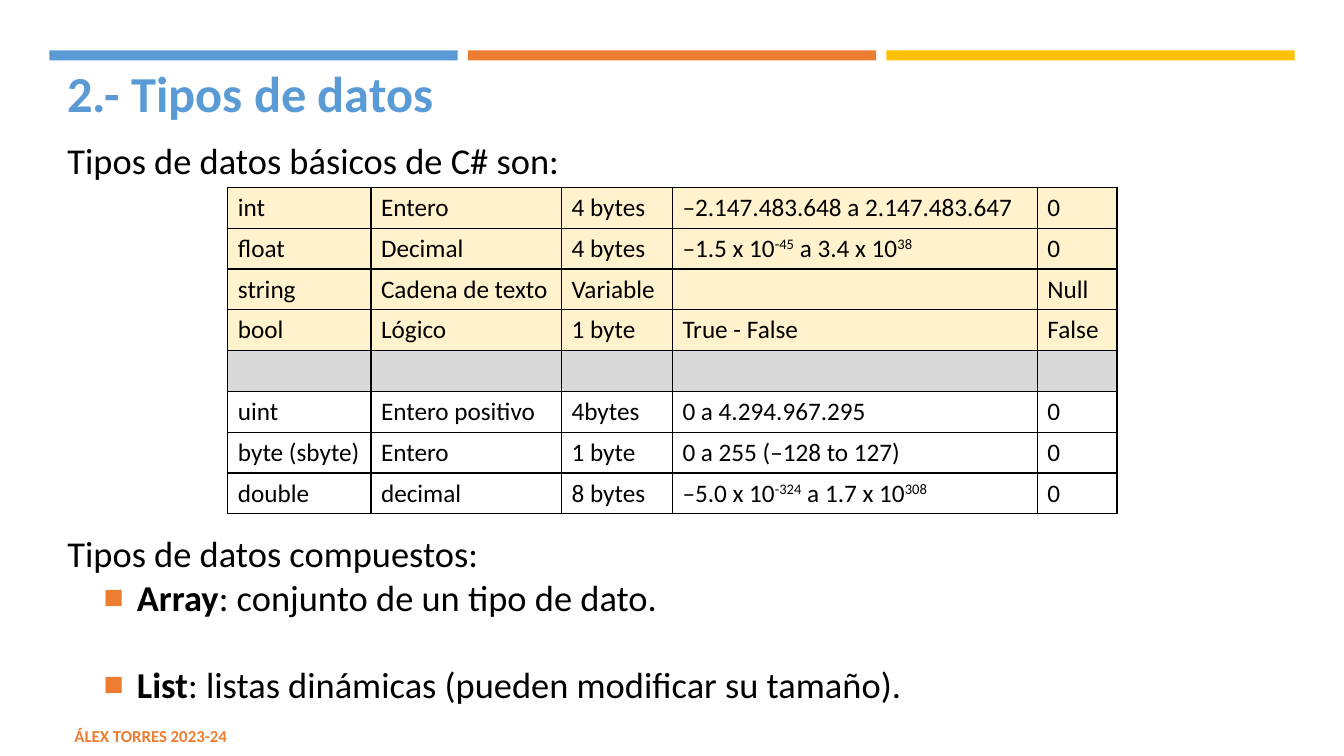
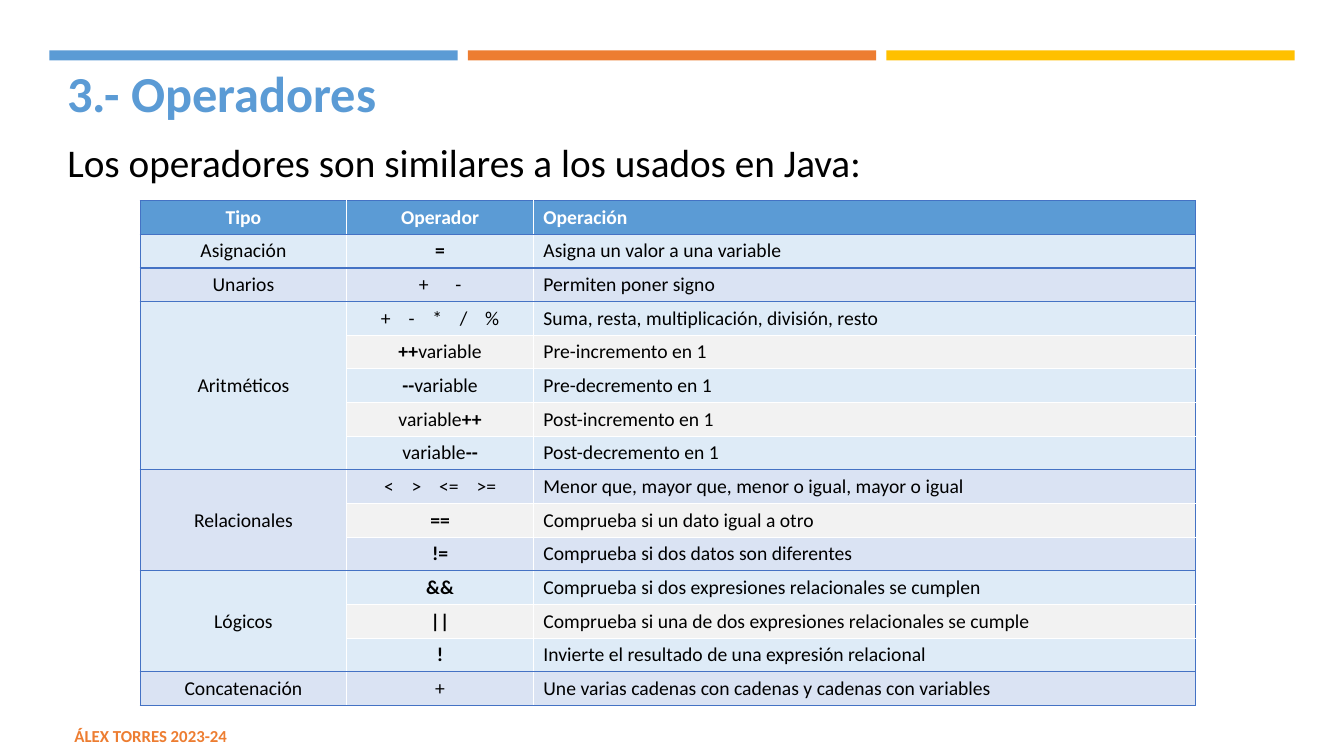
import pptx
import pptx.util
import pptx.dml.color
import pptx.enum.shapes
import pptx.enum.text
import pptx.oxml
import pptx.oxml.ns
from pptx.util import Inches

HUES = {
    "blue": "5B9BD5", "orange": "ED7D31", "gold": "FFC000", "edge": "4472C4",
    "black": "000000", "white": "FFFFFF", "cream": "FFF2CC", "gray": "D9D9D9",
    "pale": "F2F2F2", "sky": "DEEBF7", "mist": "DAE3F3",
}
FONT = "Calibri"
ALIGN = pptx.enum.text.PP_ALIGN
ANCHOR = pptx.enum.text.MSO_ANCHOR


def hue(name):
    return pptx.dml.color.RGBColor.from_string(HUES[name])


def node(tag, inner="", **attrs):
    """Build one element of the drawing namespace."""
    pairs = "".join(f' {key}="{val}"' for key, val in attrs.items())
    space = pptx.oxml.ns.nsdecls("a")
    return pptx.oxml.parse_xml(f"<a:{tag} {space}{pairs}>{inner}</a:{tag}>")


def write(para, text, size=18, color="black", bold=False, align=None, base=0, gap=0):
    """Add text to a paragraph: a string, or a list of (string, format) pairs."""
    if align is not None:
        para.alignment = align
    parts = [(text, {})] if isinstance(text, str) else text
    for words, extra in parts:
        form = {"size": size, "color": color, "bold": bold, "base": base, "gap": gap, **extra}
        run = para.add_run()
        run.text = words
        run.font.name = FONT
        run.font.size = pptx.util.Pt(form["size"])
        run.font.bold = form["bold"]
        run.font.color.rgb = hue(form["color"])
        props = run.font._element
        if form["base"]:
            props.set("baseline", str(form["base"] * 1000))
        if form["gap"]:
            props.set("spc", str(round(form["gap"] * 100)))


def spread(signs, gap):
    """Set signs apart with one widened space between neighbours."""
    parts = []
    for sign in signs.split():
        if parts:
            parts.append((" ", {"gap": gap}))
        parts.append((sign, {}))
    return parts


def power(*words):
    """Raise every second piece of text."""
    return [(word, {"base": 30 * (i % 2)}) for i, word in enumerate(words)]


class Deck:
    def __init__(self):
        self.show = pptx.Presentation()
        self.show.slide_width = Inches(13.33)
        self.show.slide_height = Inches(7.5)
        self.page = None

    def start(self, title):
        """Open a slide with its bands, footer and title."""
        self.page = self.show.slides.add_slide(self.show.slide_layouts[6])
        for i, color in enumerate(("blue", "orange", "gold")):
            self.band(0.49 + 4.15 * i, 0.5, 4.05, 0.1, color)
        foot = self.box(0.64, 7.1, 7.56, 0.4, pad=0.05, anchor=ANCHOR.MIDDLE)
        write(foot.paragraphs[0], "ÁLEX TORRES 2023-24", size=12, color="orange", bold=True)
        head = self.box(0.57, 0.52, 12.2, 0.73)
        write(head.paragraphs[0], title, size=36, color="blue", bold=True)

    def band(self, left, top, width, height, color):
        kind = pptx.enum.shapes.MSO_SHAPE.RECTANGLE
        shape = self.page.shapes.add_shape(
            kind, Inches(left), Inches(top), Inches(width), Inches(height))
        shape.shadow.inherit = False
        shape.fill.solid()
        shape.fill.fore_color.rgb = hue(color)
        shape.line.fill.background()

    def box(self, left, top, width, height, pad=0.1, anchor=ANCHOR.TOP):
        shape = self.page.shapes.add_textbox(
            Inches(left), Inches(top), Inches(width), Inches(height))
        frame = shape.text_frame
        frame.word_wrap = True
        frame.vertical_anchor = anchor
        frame.margin_left = frame.margin_right = Inches(0.1)
        frame.margin_top = frame.margin_bottom = Inches(pad)
        return frame

    def bullet(self, frame, text, size, before=0):
        para = frame.add_paragraph()
        props = para._p.get_or_add_pPr()
        props.set("marL", str(Inches(0.69)))
        props.set("indent", str(Inches(-0.33)))
        para.space_before = pptx.util.Pt(before)
        color = f'<a:srgbClr val="{HUES["orange"]}"/>'
        props.append(node("buClr", color))
        props.append(node("buSzPct", val=92000))
        props.append(node("buFont", typeface="Arial"))
        props.append(node("buChar", char="■"))
        write(para, text, size=size)

    def table(self, left, top, cols, count, height):
        frame = self.page.shapes.add_table(
            count, len(cols), Inches(left), Inches(top),
            Inches(sum(cols)), Inches(height * count))
        grid = frame.table
        grid.first_row = grid.horz_banding = False
        for col, width in zip(grid.columns, cols):
            col.width = Inches(width)
        for row in grid.rows:
            row.height = Inches(height)
        return grid

    def cell(self, cell, text, fill, lines, anchor=ANCHOR.TOP, **form):
        """Fill one cell; lines maps the sides L, R, T, B to colours."""
        cell.vertical_anchor = anchor
        props = cell._tc.get_or_add_tcPr()
        for side in "LRTB":
            if lines.get(side):
                inner = f'<a:solidFill><a:srgbClr val="{HUES[lines[side]]}"/></a:solidFill>'
                props.append(node("ln" + side, inner, w=12700))
        if fill:
            cell.fill.solid()
            cell.fill.fore_color.rgb = hue(fill)
        else:
            cell.fill.background()
        if text:
            write(cell.text_frame.paragraphs[0], text, **form)


# Basic types: name, kind, size, range, default
TYPES = [
    ("int", "Entero", "4 bytes", "–2.147.483.648 a 2.147.483.647", "0"),
    ("float", "Decimal", "4 bytes", power("–1.5 x 10", "-45", " a 3.4 x 10", "38"), "0"),
    ("string", "Cadena de texto", "Variable", "", "Null"),
    ("bool", "Lógico", "1 byte", "True - False", "False"),
    ("",) * 5,
    ("uint", "Entero positivo", "4bytes", "0 a 4.294.967.295", "0"),
    ("byte (sbyte)", "Entero", "1 byte", "0 a 255 (–128 to 127)", "0"),
    ("double", "decimal", "8 bytes", power("–5.0 x 10", "-324", " a 1.7 x 10", "308"), "0"),
]


def bold(text):
    return [(text, {"bold": True})]


VAR = [("variable", {})]

# Operators by group: sign, meaning
GROUPS = [
    ("Asignación", [(bold("="), "Asigna un valor a una variable")]),
    ("Unarios", [(spread("+ -", 15.8), "Permiten poner signo")]),
    ("Aritméticos", [
        (spread("+ - * / %", 9.5), "Suma, resta, multiplicación, división, resto"),
        (bold("++") + VAR, "Pre-incremento en 1"),
        (bold("--") + VAR, "Pre-decremento en 1"),
        (VAR + bold("++"), "Post-incremento en 1"),
        (VAR + bold("--"), "Post-decremento en 1"),
    ]),
    ("Relacionales", [
        (spread("< > <= >=", 9.5), "Menor que, mayor que, menor o igual, mayor o igual"),
        (bold("=="), "Comprueba si un dato igual a otro"),
        (bold("!="), "Comprueba si dos datos son diferentes"),
    ]),
    ("Lógicos", [
        (bold("&&"), "Comprueba si dos expresiones relacionales se cumplen"),
        (bold("||"), "Comprueba si una de dos expresiones relacionales se cumple"),
        (bold("!"), "Invierte el resultado de una expresión relacional"),
    ]),
    ("Concatenación", [("+", "Une varias cadenas con cadenas y cadenas con variables")]),
]


def types(deck):
    deck.start("2.- Tipos de datos")
    intro = deck.box(0.57, 1.27, 12.2, 0.6)
    write(intro.paragraphs[0], "Tipos de datos básicos de C# son:", size=26)

    # Table of types, with a gray row between common and other types
    grid = deck.table(2.26, 1.86, (1.42, 1.89, 1.1, 3.62, 0.79), len(TYPES), 0.405)
    fills = ["cream"] * 4 + ["gray"] + [None] * 3
    lines = dict.fromkeys("LRTB", "black")
    for r, row in enumerate(TYPES):
        for c, text in enumerate(row):
            deck.cell(grid.cell(r, c), text, fills[r], lines)

    # Compound types
    frame = deck.box(0.57, 5.17, 12.2, 1.95)
    write(frame.paragraphs[0], "Tipos de datos compuestos:", size=26)
    deck.bullet(frame, bold("Array") + [(": conjunto de un tipo de dato.", {})], 26)
    deck.bullet(frame, bold("List") + [
        (": listas dinámicas (pueden modificar su tamaño).", {})], 26, before=31)


def signs(deck):
    deck.start("3.- Operadores")
    intro = deck.box(0.57, 1.27, 12.2, 0.7)
    write(intro.paragraphs[0], "Los operadores son similares a los usados en Java:", size=28)

    count = 1 + sum(len(rows) for _, rows in GROUPS)
    grid = deck.table(1.39, 1.99, (2.05, 1.85, 6.57), count, 0.33)

    def put(r, c, text, fill, top="edge", low="edge", **form):
        lines = {"L": "white" if c else "edge", "R": "edge" if c == 2 else "white",
                 "T": top, "B": low}
        if c < 2:
            form.update(align=ALIGN.CENTER, anchor=ANCHOR.MIDDLE)
        deck.cell(grid.cell(r, c), text, fill, lines, size=14, **form)

    # Header row
    for c, text in enumerate(("Tipo", "Operador", "Operación")):
        put(0, c, text, "blue", color="white", bold=True)

    # Groups take turns in tint; every second row inside a group is pale
    r = 1
    for g, (name, rows) in enumerate(GROUPS):
        tint = ("sky", "mist")[g % 2]
        last = len(rows) - 1
        for i, pair in enumerate(rows):
            put(r + i, 0, "" if i else name, tint,
                top=None if i else "edge", low="edge" if i in (0, last) else None)
            for c, text in enumerate(pair, 1):
                put(r + i, c, text, "pale" if i % 2 else tint,
                    top="white" if i else "edge", low="edge" if i == last else "white")
        if last:
            grid.cell(r, 0).merge(grid.cell(r + last, 0))
        r += len(rows)


def main():
    deck = Deck()
    types(deck)
    signs(deck)
    deck.show.save("out.pptx")


if __name__ == "__main__":
    main()
